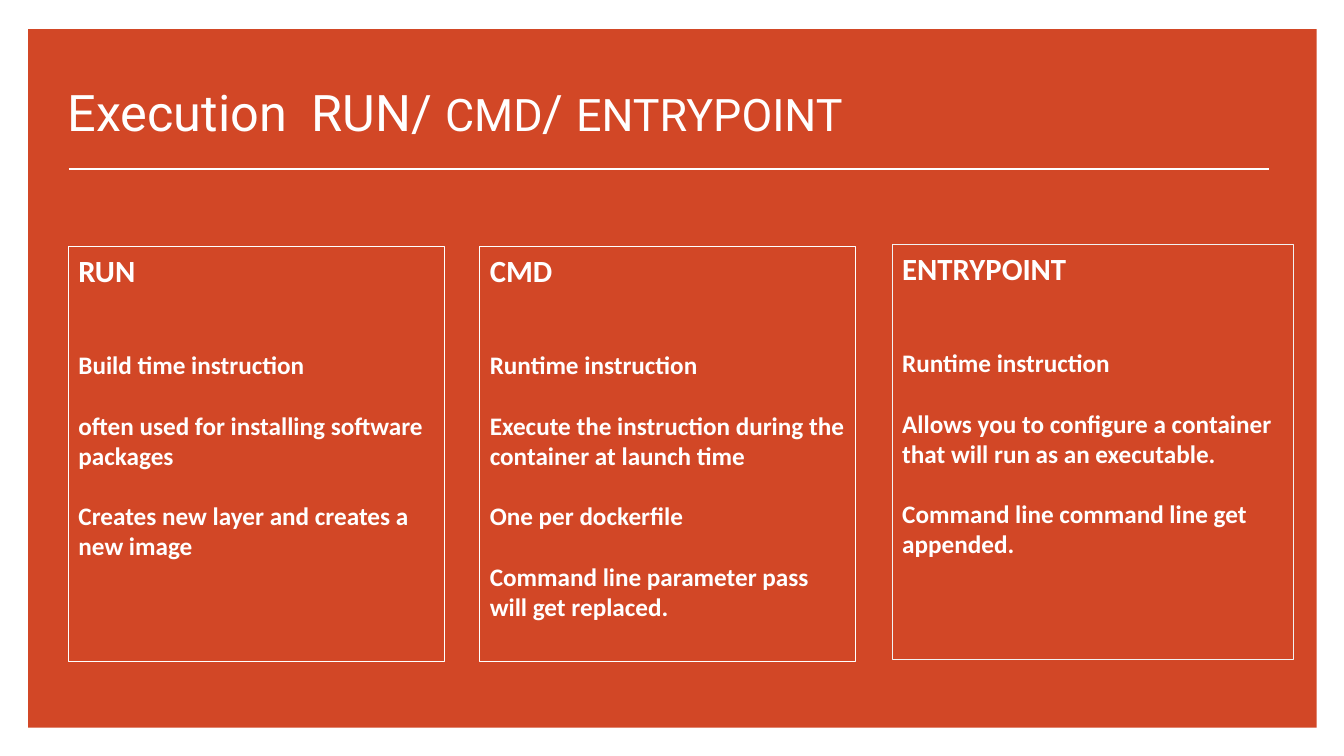
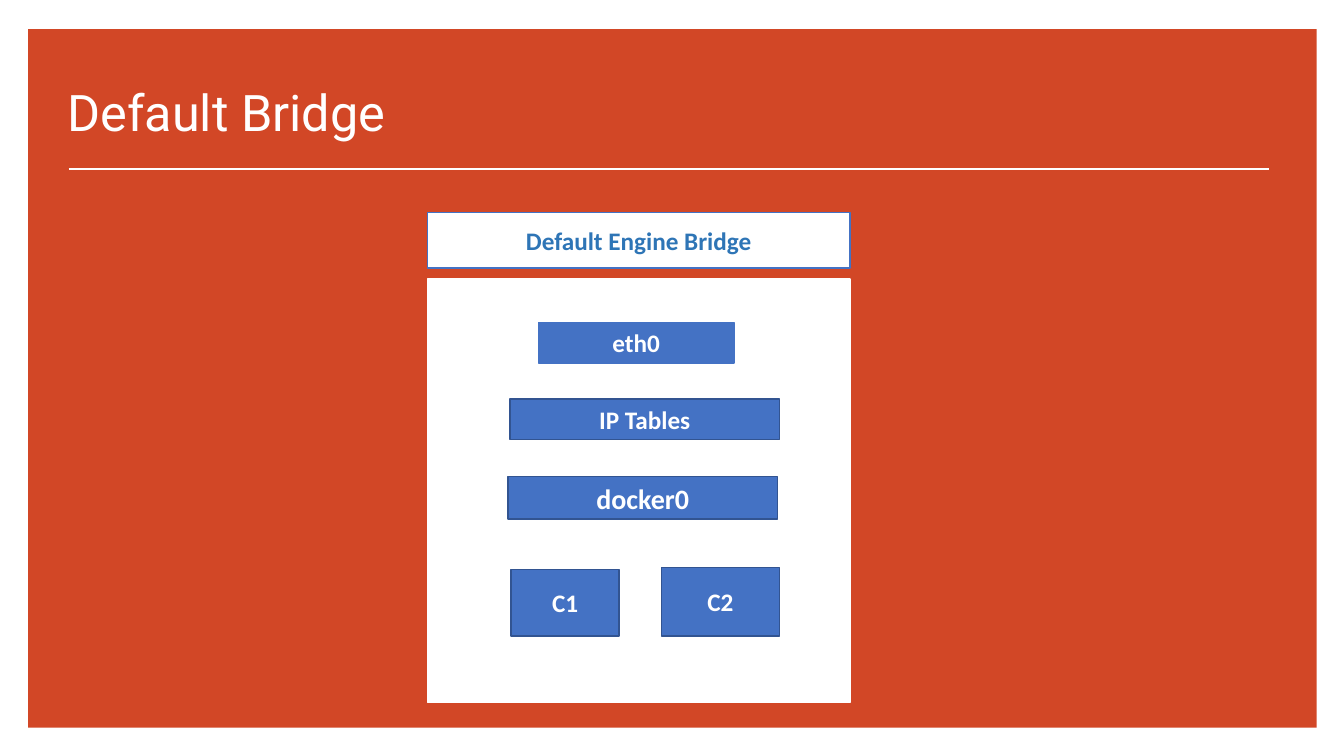
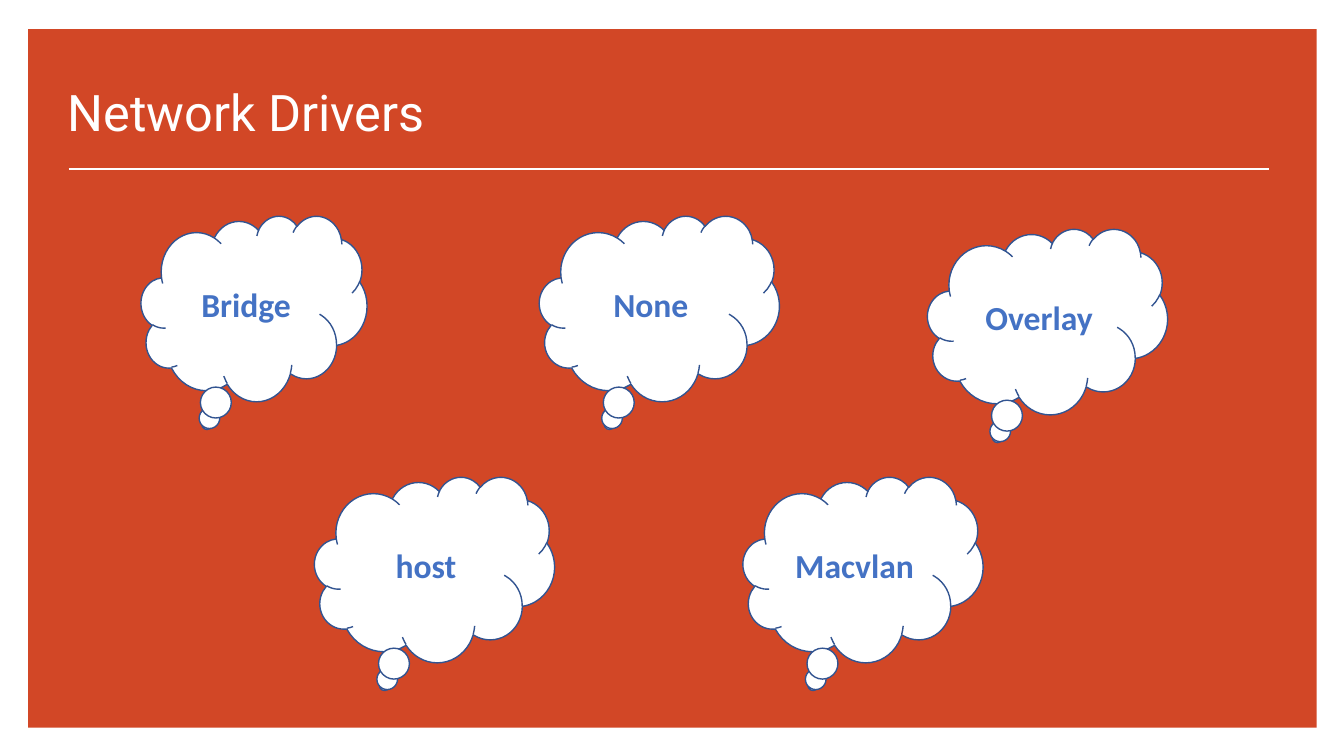
from lxml import etree
from pptx import Presentation
from pptx.dml.color import RGBColor
from pptx.enum.shapes import MSO_CONNECTOR, MSO_SHAPE
from pptx.enum.text import MSO_ANCHOR, MSO_AUTO_SIZE, PP_ALIGN
from pptx.oxml.ns import qn
from pptx.util import Inches, Pt

RECTANGLE = MSO_SHAPE.RECTANGLE
CLOUD = MSO_SHAPE.CLOUD_CALLOUT
STRAIGHT = MSO_CONNECTOR.STRAIGHT
LEFT, CENTER = PP_ALIGN.LEFT, PP_ALIGN.CENTER
TOP, MIDDLE, BOTTOM = MSO_ANCHOR.TOP, MSO_ANCHOR.MIDDLE, MSO_ANCHOR.BOTTOM
NO_AUTOFIT = MSO_AUTO_SIZE.NONE

# Colours and fonts
WHITE = RGBColor(0xFF, 0xFF, 0xFF)
PALE_GREY = RGBColor(0xF2, 0xF2, 0xF2)
ORANGE = RGBColor(0xD2, 0x47, 0x26)
BLUE = RGBColor(0x44, 0x72, 0xC4)
DARK_BLUE = RGBColor(0x32, 0x54, 0x91)
LABEL_BLUE = RGBColor(0x2E, 0x75, 0xB6)
TITLE_FONT, BODY_FONT = "Roboto", "Calibri"

TITLE_ONLY = 5
MARGIN = 0.68
CARD_TOP, CARD_HEIGHT = 2.45, 4.11
CLOUD_HEIGHT = 1.84


def apply(target, **values):
    """Set each named attribute of the target."""
    for name, value in values.items():
        setattr(target, name, value)


def add_span(para, text, size, color, font=BODY_FONT, bold=True):
    span = para.add_run()
    span.text = text
    apply(span.font, name=font, size=Pt(size), bold=bold)
    span.font.color.rgb = color


def add_box(page, place, fill=None, line=None, width=1, kind=RECTANGLE):
    box = page.shapes.add_shape(kind, *map(Inches, place))
    box.shadow.inherit = False
    if fill is None:
        box.fill.background()
    else:
        box.fill.solid()
        box.fill.fore_color.rgb = fill
    if line is None:
        box.line.fill.background()
    else:
        box.line.color.rgb = line
        box.line.width = Pt(width)
    return box


def add_label(box, text, size, color):
    frame = box.text_frame
    apply(frame, word_wrap=True, vertical_anchor=MIDDLE)
    para = frame.paragraphs[0]
    para.alignment = CENTER
    add_span(para, text, size, color)


def add_card(page, left, width, heading, points, top=CARD_TOP, line=WHITE):
    """Outlined card: a heading followed by spaced statements."""
    box = add_box(page, (left, top, width, CARD_HEIGHT), line=line, width=0.75)
    frame = box.text_frame
    apply(frame, word_wrap=True, vertical_anchor=TOP)
    para = frame.paragraphs[0]
    para.alignment = LEFT
    add_span(para, heading, 22, WHITE)
    for index, point in enumerate(points):
        para = frame.add_paragraph()
        apply(para, alignment=LEFT, space_before=Pt(21.6 if index else 43.2))
        add_span(para, point, 18, WHITE)


def add_rule(page):
    rule = page.shapes.add_connector(
        STRAIGHT, Inches(MARGIN), Inches(1.68), Inches(12.59), Inches(1.68))
    rule.line.color.rgb = WHITE
    rule.line.width = Pt(1.5)
    etree.SubElement(rule.element.spPr, qn("a:effectLst"))
    return rule


def decorate_layout(layout, page):
    """Move the orange panel and title rule onto the shared layout."""
    tree = layout.shapes.element
    panel = add_box(page, (0.28, 0.29, 12.78, 6.93), fill=ORANGE)
    for offset, part in enumerate((panel, add_rule(page))):
        part.element.xpath(".//p:cNvPr")[0].set("id", str(100 + offset))
        tree.insert(2 + offset, part.element)


def add_page(deck, spans, title_width=7.52):
    page = deck.slides.add_slide(deck.slide_layouts[TITLE_ONLY])
    title = page.shapes.title
    apply(title, left=Inches(0.57), top=Inches(0.76),
          width=Inches(title_width), height=Inches(0.7))
    frame = title.text_frame
    apply(frame, word_wrap=True, auto_size=NO_AUTOFIT, vertical_anchor=BOTTOM)
    para = frame.paragraphs[0]
    para.alignment = LEFT
    for text, size in spans:
        add_span(para, text, size, WHITE, TITLE_FONT, False)
    return page


def build_execution(deck):
    page = add_page(deck, [("Execution  RUN/ ", 36), ("CMD", 32),
                           ("/ ", 36), ("ENTRYPOINT", 32)], 8.54)
    add_card(page, MARGIN, 3.73, "RUN", [
        "Build time instruction",
        "often used for installing software packages",
        "Creates new layer and creates a new image"])
    add_card(page, 4.76, 3.73, "CMD", [
        "Runtime instruction",
        "Execute the instruction during the container at launch time",
        "One per dockerfile",
        "Command line parameter pass will get replaced."])
    add_card(page, 8.85, 3.98, "ENTRYPOINT", [
        "Runtime instruction",
        "Allows you to configure a container that will run as an executable.",
        "Command line command line get appended."], top=2.43, line=PALE_GREY)
    return page


def build_bridge(deck):
    page = add_page(deck, [("Default Bridge", 36)])
    add_box(page, (4.24, 2.77, 4.19, 4.2), WHITE, WHITE)
    # Network layers from the host interface down to the containers
    for text, place, size, line, width in (
            ("eth0", (5.34, 3.2, 1.94, 0.4), 18, BLUE, 1.25),
            ("IP Tables", (5.06, 3.96, 2.67, 0.4), 18, DARK_BLUE, 1),
            ("docker0", (5.04, 4.73, 2.67, 0.42), 20, DARK_BLUE, 1),
            ("C1", (5.07, 5.65, 1.07, 0.66), 18, DARK_BLUE, 1),
            ("C2", (6.56, 5.63, 1.17, 0.68), 18, DARK_BLUE, 1)):
        add_label(add_box(page, place, BLUE, line, width), text, size, WHITE)
    header = add_box(page, (4.24, 2.11, 4.19, 0.55), WHITE, BLUE)
    add_label(header, "Default Engine Bridge", 18, LABEL_BLUE)


def build_drivers(deck):
    page = add_page(deck, [("Network Drivers", 36)])
    for text, left, top, width in (
            ("Bridge", 1.4, 2.14, 2.24),
            ("None", 5.35, 2.14, 2.38),
            ("host", 3.12, 4.73, 2.38),
            ("Overlay", 9.2, 2.27, 2.38),
            ("Macvlan", 7.37, 4.73, 2.38)):
        cloud = add_box(page, (left, top, width, CLOUD_HEIGHT),
                        WHITE, DARK_BLUE, kind=CLOUD)
        add_label(cloud, text, 24, BLUE)


def main():
    deck = Presentation()
    apply(deck, slide_width=Inches(13.33), slide_height=Inches(7.5))
    first_page = build_execution(deck)
    decorate_layout(deck.slide_layouts[TITLE_ONLY], first_page)
    build_bridge(deck)
    build_drivers(deck)
    deck.save("out.pptx")


if __name__ == "__main__":
    main()
